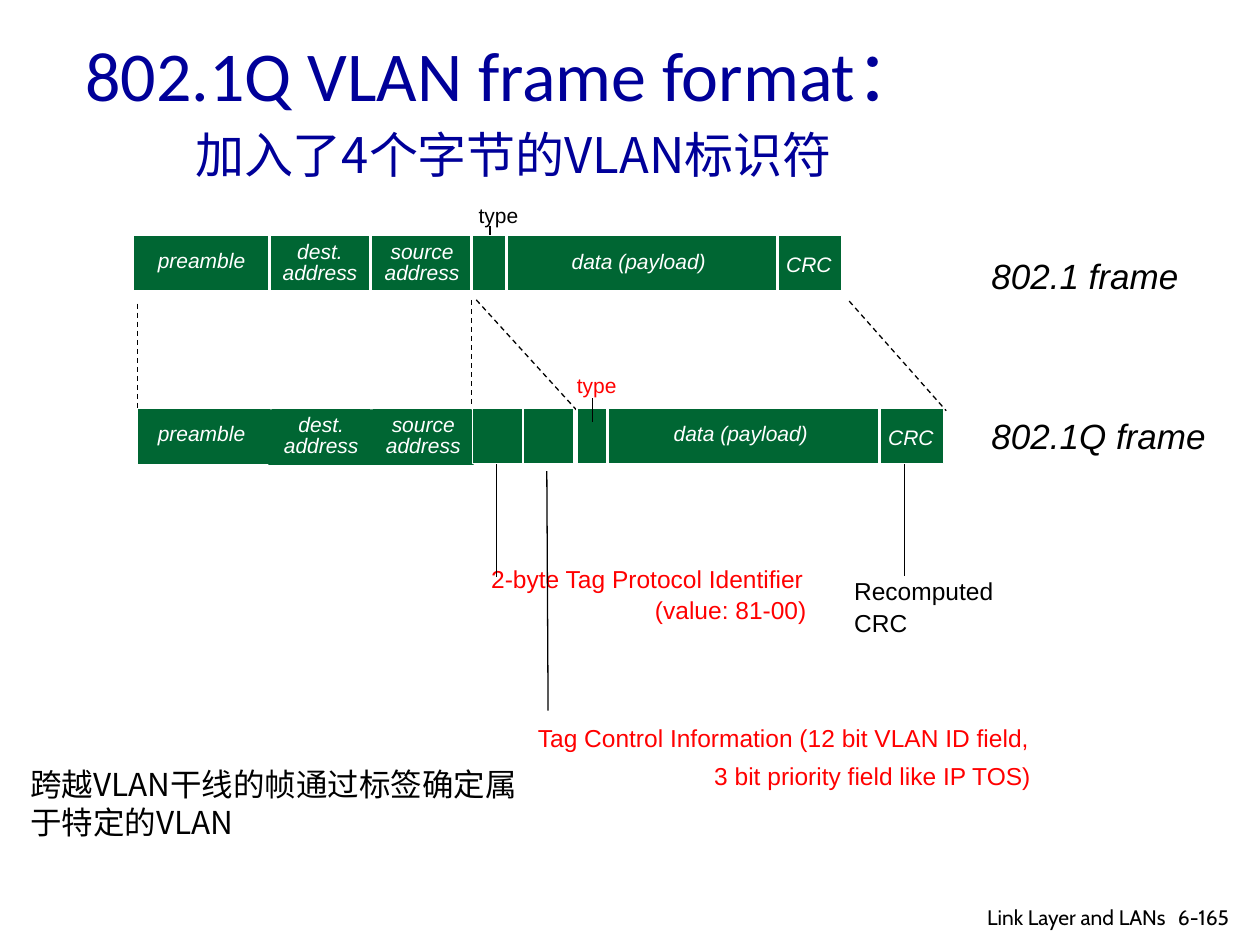
from lxml import etree
from pptx import Presentation, util as u
from pptx.dml.color import RGBColor
from pptx.enum import dml, shapes, text
from pptx.oxml import ns

PX = 9144  # 100 px to the inch
COLORS = {"ink": "000000", "title": "000099", "tag": "FF0000",
          "field": "006633", "white": "FFFFFF"}
LEFT, CENTER, RIGHT = text.PP_ALIGN.LEFT, text.PP_ALIGN.CENTER, text.PP_ALIGN.RIGHT
TOP, MIDDLE = text.MSO_ANCHOR.TOP, text.MSO_ANCHOR.MIDDLE

prs = Presentation()
prs.slide_width, prs.slide_height = 1000 * PX, 750 * PX
slide = prs.slides.add_slide(prs.slide_layouts[6])


def add_label(box, lines, size, color="ink", font="Arial", italic=False,
              align=LEFT, anchor=TOP, wrap=False):
    label = slide.shapes.add_textbox(*(n * PX for n in box))
    frame = label.text_frame
    frame.word_wrap, frame.vertical_anchor = wrap, anchor
    frame.text = "\n".join(lines)
    for paragraph in frame.paragraphs:
        paragraph.alignment = align
        for run in paragraph.runs:
            run.font.size, run.font.name, run.font.italic = u.Pt(size), font, italic
            run.font.color.rgb = RGBColor.from_string(COLORS[color])
            east_asian = etree.SubElement(run.font._element, ns.qn("a:ea"))
            east_asian.set("typeface", font)
    return label


def add_line(x1, y1, x2, y2, color="ink", width=0.75, dashed=False):
    line = slide.shapes.add_connector(shapes.MSO_CONNECTOR.STRAIGHT,
                                      *(n * PX for n in (x1, y1, x2, y2)))
    line.line.color.rgb = RGBColor.from_string(COLORS[color])
    line.line.width = u.Pt(width)
    if dashed:
        line.line.dash_style = dml.MSO_LINE.DASH
    etree.SubElement(line._element.spPr, ns.qn("a:effectLst"))
    return line


# Title and captions; the second line of each is indented or spaced
title = add_label((58, 23, 888, 125),
                  ["802.1Q VLAN frame format：", "加入了4个字节的VLAN标识符"],
                  40, "title", "Calibri", anchor=MIDDLE, wrap=True)
subtitle = title.text_frame.paragraphs[1]
subtitle.runs[0].font.size = u.Pt(28)
subtitle.runs[0].font.name = "Noto Sans CJK SC"
subtitle.runs[0].font._element.find(ns.qn("a:ea")).set("typeface", "Noto Sans CJK SC")

protocol_id = add_label((380, 443, 277, 57),
                        ["2-byte Tag Protocol Identifier", "(value: 81-00)"],
                        14, "tag", anchor=MIDDLE, wrap=True)
control_info = add_label((417, 569, 418, 63),
                         ["Tag Control Information (12 bit VLAN ID field,",
                          "3 bit priority field like IP TOS)"],
                         14, "tag", anchor=MIDDLE, wrap=True)
recomputed = add_label((668, 455, 135, 53), ["Recomputed", "CRC"], 14,
                       anchor=MIDDLE, wrap=True)
for caption, indent, gap in [(title, 87, 5), (protocol_id, 130, 1),
                             (control_info, 140, 5), (recomputed, 0, 1)]:
    second = caption.text_frame.paragraphs[1]
    second.space_before = u.Pt(gap)
    second._p.get_or_add_pPr().set("marL", str(indent * PX))

add_label((777, 197, 170, 44), ["802.1 frame"], 20, italic=True)
add_label((777, 324, 191, 44), ["802.1Q frame"], 20, italic=True)
add_label((370, 156, 52, 30), ["type"], 12)

# Dashed guides between the frames, then pointers to the captions
for guide in [(109, 241, 109, 325), (374, 238, 374, 322),
              (378, 238, 459, 327), (674, 239, 751, 326)]:
    add_line(*guide, dashed=True)
for pointer in [(389, 179, 389, 198), (394, 364, 394, 458),
                (434, 374, 435, 564), (718, 363, 718, 457)]:
    add_line(*pointer)

# Each bar: box, divider (x, top) pairs, field labels, whether labels are filled
DEST, SOURCE = ["dest.", "address"], ["source", "address"]
bars = [
    ((106, 187, 562, 44),
     [(214, 186), (294, 186), (374, 187), (402, 186), (617, 185)],
     [((212, 188, 84, 44), DEST), ((295, 188, 80, 44), SOURCE),
      ((442, 196, 130, 27), ["data (payload)"]), ((614, 198, 56, 27), ["CRC"]),
      ((115, 195, 90, 27), ["preamble"])], False),
    ((109, 324, 268, 45),
     [(215, 323), (295, 323), (375, 323)],
     [((213, 325, 84, 44), DEST), ((296, 325, 80, 44), SOURCE),
      ((115, 332, 90, 27), ["preamble"])], True),
    ((458, 324, 291, 44),
     [(482, 323), (698, 321)],
     [((523, 332, 130, 27), ["data (payload)"]), ((695, 335, 56, 27), ["CRC"])], False),
    ((375, 324, 80, 44), [(415, 324)], [], False),
]
for box, dividers, fields, filled in bars:
    bar = slide.shapes.add_shape(shapes.MSO_SHAPE.RECTANGLE, *(n * PX for n in box))
    bar.shadow.inherit = False
    bar.fill.solid()
    bar.fill.fore_color.rgb = RGBColor.from_string(COLORS["field"])
    bar.line.color.rgb = RGBColor.from_string(COLORS["white"])
    bar.line.width = u.Pt(0.75)
    for x, top in dividers:
        divider = add_line(x, top, x, top + 47, "white", 1.5)
        if (x, top) == (box[0] + box[2] // 2, box[1]):
            divider.begin_connect(bar, 0)
    for field_box, lines in fields:
        field = add_label(field_box, lines, 12, "white", italic=True, align=CENTER)
        for paragraph in field.text_frame.paragraphs:
            paragraph.line_spacing = u.Pt(12)
        if filled:
            field.fill.solid()
            field.fill.fore_color.rgb = RGBColor.from_string(COLORS["field"])

add_label((448, 291, 52, 30), ["type"], 12, "tag")
add_line(470, 316, 470, 335)

# Footer and closing remark
add_label((925, 713, 75, 26), ["6-165"], 12, font="Cabin", wrap=True)
add_label((697, 713, 238, 26), ["Link Layer and LANs"], 12, font="Cabin",
          align=RIGHT, wrap=True)
add_label((14, 602, 412, 71), ["跨越VLAN干线的帧通过标签确定属于特定的VLAN"], 18,
          font="Noto Sans CJK SC", wrap=True)

prs.save("out.pptx")
